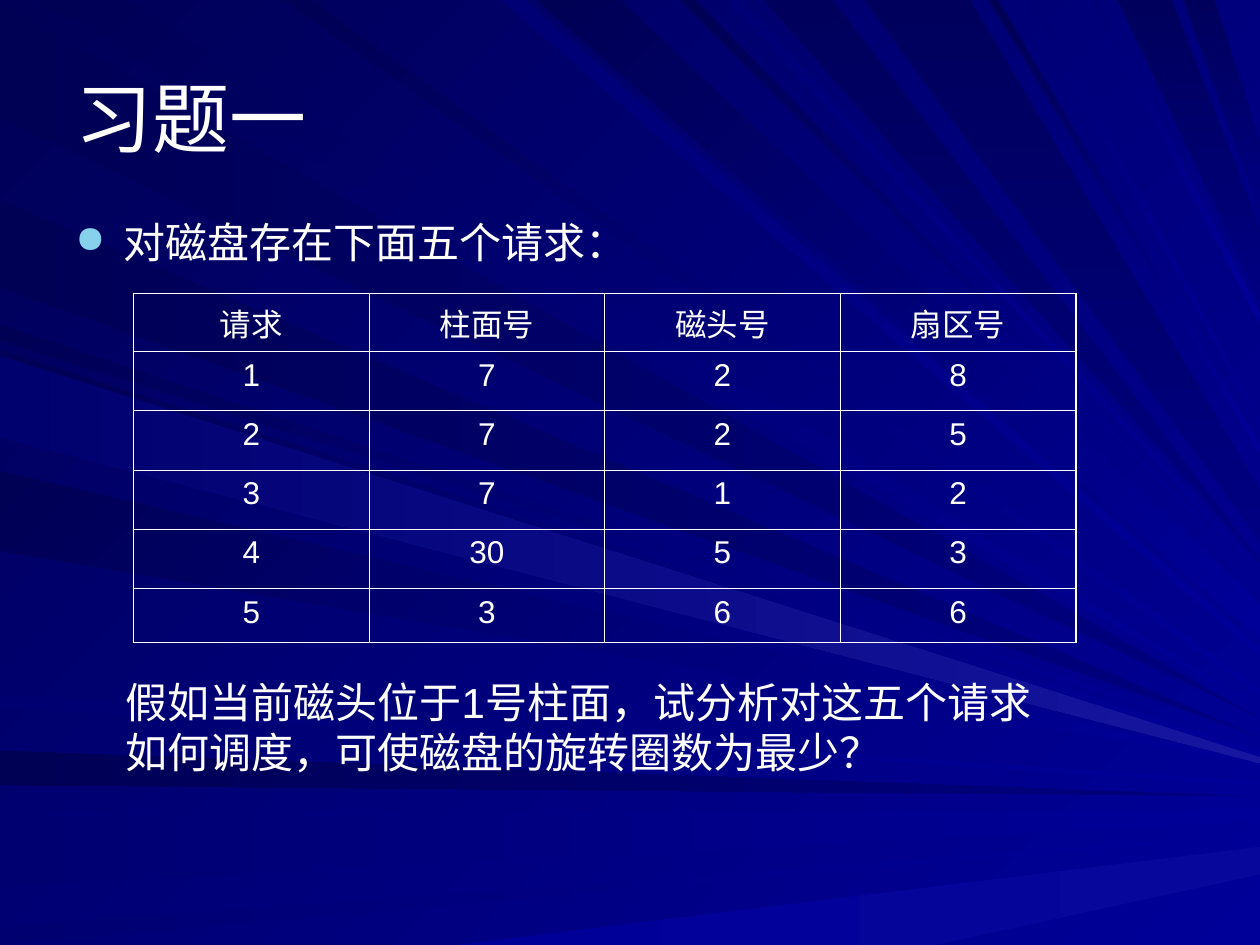
from lxml import etree
from pptx import Presentation
from pptx.dml.color import RGBColor
from pptx.enum.text import MSO_ANCHOR, PP_ALIGN
from pptx.oxml.ns import qn
from pptx.util import Inches, Pt

CENTER = PP_ALIGN.CENTER
MIDDLE = MSO_ANCHOR.MIDDLE
UNIT = Inches(0.01)  # the slide is a grid of 1000 columns by 750 rows
COLUMNS, ROWS = 1000, 750

# Gradient directions, counter-clockwise from the right
LEFT, UP_LEFT, DOWN = 180, 135, 270

THEME = {
    "font": "Arial",
    "text": "FFFFFF",
    "bullet": "86D1EC",
    "title_size": 44,
    "body_size": 24,
    "table_size": 18,
    "outer_border": 1.08,
    "inner_border": 0.45,
    # fades: first colour, last colour, direction
    "backdrop": ("000099", "000057", UP_LEFT),
    "beam": ("000099", "000055", UP_LEFT),
    "soft": ("000099", "000074", UP_LEFT),
    "haze": ("000099", "000070", LEFT),
    "shade": ("000080", "000054", LEFT),
    "streak": ("1616A1", "00006E", LEFT),
    "glow": ("07079B", "000099", LEFT),
    "column": ("00005C", "000080", DOWN),
}

# Rays from back to front: edge they leave, fade, start and end on that edge,
# then where they meet the right edge (one row for a point, two for a blunt end)
RAYS = [
    ("left", "shade", 2, 93, 570),
    ("top", "beam", 26, 101, 563),
    ("left", "shade", 596, 623, 632),
    ("left", "haze", 647, 704, 643, 651),
    ("left", "haze", 735, 750, 662),
    ("bottom", "glow", 364, 742, 672, 694),
    ("left", "beam", 258, 270, 589),
    ("left", "shade", 159, 228, 585),
    ("top", "soft", 398, 416, 515, 521),
    ("top", "beam", 426, 492, 479, 507),
    ("top", "beam", 540, 552, 463),
    ("top", "column", 606, 661, 446),
    ("top", "column", 887, 930, 183, 237),
    ("top", "column", 939, 964, 114, 167),
    ("left", "beam", 278, 342, 596, 602),
    ("left", "beam", 374, 437, 606),
    ("left", "haze", 552, 560, 621, 623),
    ("top", "beam", 225, 247, 547, 552),
    ("top", "soft", 577, 588, 454),
    ("top", "column", 686, 770, 390, 428),
    ("top", "beam", 785, 792, 354, 360),
    ("top", "soft", 815, 824, 336),
    ("top", "soft", 865, 872, 249, 258),
    ("left", "streak", 283, 347, 601, 606),
]

REQUESTS = [
    ("请求", "柱面号", "磁头号", "扇区号"),
    ("1", "7", "2", "8"),
    ("2", "7", "2", "5"),
    ("3", "7", "1", "2"),
    ("4", "30", "5", "3"),
    ("5", "3", "6", "6"),
]
ROW_HEIGHTS = [46, 47, 47, 47, 47, 43]
COLUMN_WIDTH = 187


def fade(fill, style):
    first, last, direction = THEME[style]
    fill.gradient()
    fill.gradient_angle = direction
    for stop, colour in zip(fill.gradient_stops, (first, last)):
        stop.color.rgb = RGBColor.from_string(colour)


def write(frame, text, size):
    frame.word_wrap = True
    paragraph = frame.paragraphs[0]
    paragraph.text = text
    paragraph.font.name = THEME["font"]
    paragraph.font.size = Pt(size)
    paragraph.font.color.rgb = RGBColor.from_string(THEME["text"])
    return paragraph


prs = Presentation()
prs.slide_width, prs.slide_height = COLUMNS * UNIT, ROWS * UNIT
slide = prs.slides.add_slide(prs.slide_layouts[6])
fade(slide.background.fill, "backdrop")

for edge, style, start, end, *tips in RAYS:
    base = {
        "left": [(0, start), (0, end)],
        "top": [(end, 0), (start, 0)],
        "bottom": [(start, ROWS), (end, ROWS)],
    }[edge]
    tip_corners = [(COLUMNS, tip) for tip in reversed(tips)]
    outline = slide.shapes.build_freeform(*base[0], scale=UNIT)
    outline.add_line_segments(base[1:] + tip_corners, close=True)
    ray = outline.convert_to_shape()
    ray.shadow.inherit = False
    ray.line.fill.background()
    fade(ray.fill, style)

title = slide.shapes.add_textbox(50 * UNIT, 30 * UNIT, 900 * UNIT, 125 * UNIT).text_frame
title.vertical_anchor = MIDDLE
write(title, "习题一", THEME["title_size"])

intro = slide.shapes.add_textbox(50 * UNIT, 175 * UNIT, 765 * UNIT, 43 * UNIT).text_frame
bullet = intro.paragraphs[0]._p.get_or_add_pPr()
bullet.set("marL", str(38 * UNIT))
bullet.set("indent", str(-38 * UNIT))
bullet_colour = etree.SubElement(bullet, qn("a:buClr"))
etree.SubElement(bullet_colour, qn("a:srgbClr"), val=THEME["bullet"])
etree.SubElement(bullet, qn("a:buSzPct"), val="90000")
etree.SubElement(bullet, qn("a:buChar"), char="●")
write(intro, "对磁盘存在下面五个请求：", THEME["body_size"]).line_spacing = 0.8

last_row, last_column = len(REQUESTS) - 1, len(REQUESTS[0]) - 1
table = slide.shapes.add_table(
    len(REQUESTS), len(REQUESTS[0]), 106 * UNIT, 233 * UNIT,
    COLUMN_WIDTH * len(REQUESTS[0]) * UNIT, sum(ROW_HEIGHTS) * UNIT).table
table.first_row = table.horz_banding = False
for column in table.columns:
    column.width = COLUMN_WIDTH * UNIT
for r, (height, request) in enumerate(zip(ROW_HEIGHTS, REQUESTS)):
    table.rows[r].height = height * UNIT
    for c, value in enumerate(request):
        cell = table.cell(r, c)
        write(cell.text_frame, value, THEME["table_size"]).alignment = CENTER
        properties = cell._tc.get_or_add_tcPr()
        on_edge = {"lnL": c == 0, "lnR": c == last_column, "lnT": r == 0, "lnB": r == last_row}
        for side, outer in on_edge.items():
            width = Pt(THEME["outer_border" if outer else "inner_border"])
            border = etree.SubElement(properties, qn(f"a:{side}"), w=str(width))
            border_fill = etree.SubElement(border, qn("a:solidFill"))
            etree.SubElement(border_fill, qn("a:srgbClr"), val=THEME["text"])
        cell.fill.background()

question = slide.shapes.add_textbox(90 * UNIT, 532 * UNIT, 756 * UNIT, 90 * UNIT).text_frame
write(question, "假如当前磁头位于1号柱面，试分析对这五个请求如何调度，可使磁盘的旋转圈数为最少？",
      THEME["body_size"])

prs.save("out.pptx")
